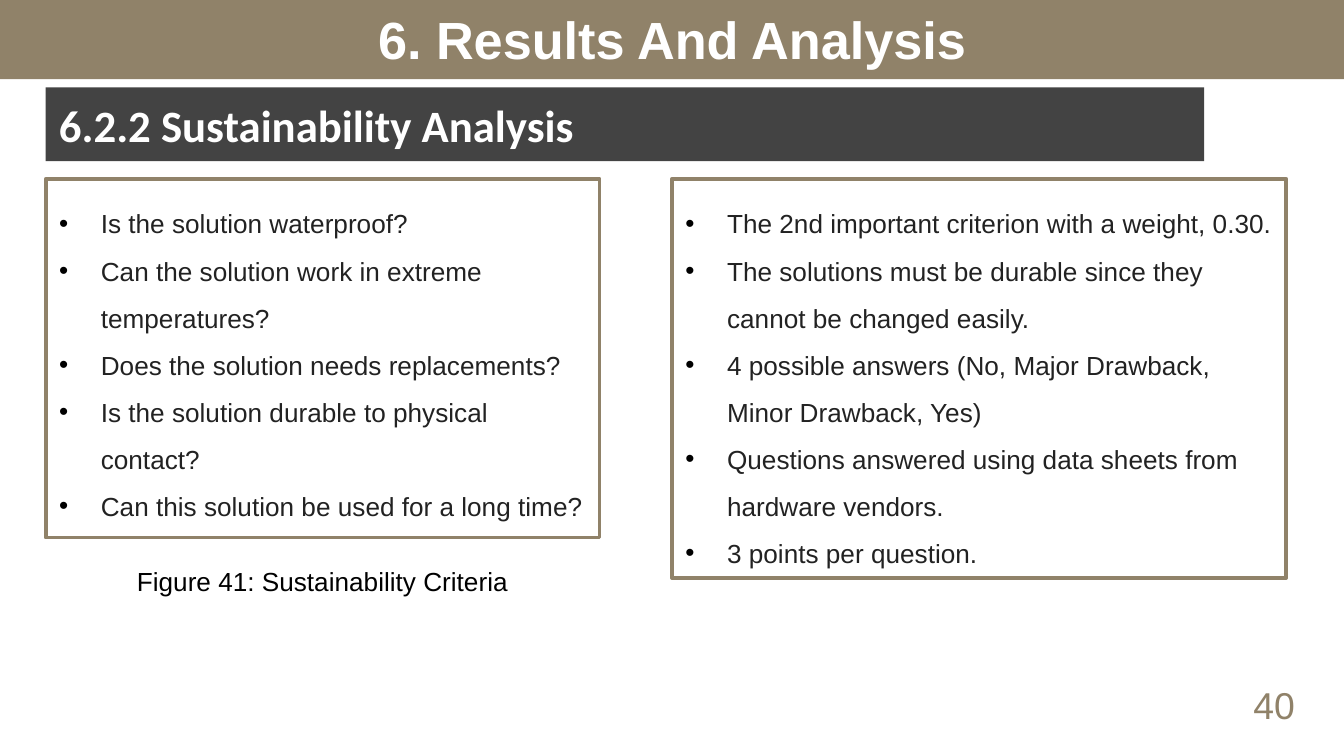
"""Build the sustainability analysis slide."""
import pptx
import pptx.util
import pptx.dml.color
import pptx.enum.text
import pptx.enum.shapes
import pptx.oxml
import pptx.oxml.ns

RGB = pptx.dml.color.RGBColor
Inches = pptx.util.Inches
Pt = pptx.util.Pt
ALIGN = pptx.enum.text.PP_ALIGN
ANCHOR = pptx.enum.text.MSO_ANCHOR

TAN = RGB(0x90, 0x82, 0x69)
GREY = RGB(0x43, 0x43, 0x43)
INK = RGB(0x22, 0x22, 0x22)
BLACK = RGB(0, 0, 0)
WHITE = RGB(255, 255, 255)

WIDE = 10
HIGH = WIDE * 9 / 16
LEFT, RIGHT = 0.34, 5
LIST_TOP = 1.33
LEFT_WIDE = 4.12
BAR_TOP, BAR_HIGH = 0.65, 0.55
PAD = 0.1

ASKS = [
    "Is the solution waterproof?",
    "Can the solution work in extreme temperatures?",
    "Does the solution needs replacements?",
    "Is the solution durable to physical contact?",
    "Can this solution be used for a long time?",
]
NOTES = [
    "The 2nd important criterion with a weight, 0.30.",
    "The solutions must be durable since they cannot be changed easily.",
    "4 possible answers (No, Major Drawback, Minor Drawback, Yes)",
    "Questions answered using data sheets from hardware vendors.",
    "3 points per question.",
]


def place(shape, box):
    """Move a shape to a box of left, top, width and height."""
    shape.left, shape.top, shape.width, shape.height = map(Inches, box)


def pad(frame, anchor):
    """Give a text frame even margins, wrapping and an anchor."""
    frame.margin_left = frame.margin_right = Inches(PAD)
    frame.margin_top = frame.margin_bottom = Inches(PAD)
    frame.word_wrap = True
    frame.auto_size = pptx.enum.text.MSO_AUTO_SIZE.NONE
    frame.vertical_anchor = anchor


def style(para, size, color, face="Arial", bold=False):
    """Set the font of a paragraph."""
    font = para.font
    font.name, font.size, font.bold = face, Pt(size), bold
    font.color.rgb = color


def fill(shape, color):
    """Fill a shape with one colour."""
    shape.fill.solid()
    shape.fill.fore_color.rgb = color


def add_band(slide, box, color):
    """Draw a plain band behind everything else."""
    kind = pptx.enum.shapes.MSO_SHAPE.RECTANGLE
    band = slide.shapes.add_shape(kind, *map(Inches, box))
    band.shadow.inherit = False
    band.line.fill.background()
    fill(band, color)
    slide.shapes._spTree.insert(2, band._element)


def add_title(slide, text):
    """Set the slide title on a full-width band."""
    box = (0, -0.01, WIDE, 0.6)
    add_band(slide, box, TAN)
    title = slide.shapes.title
    place(title, box)
    title.text_frame.text = text
    pad(title.text_frame, ANCHOR.MIDDLE)
    para = title.text_frame.paragraphs[0]
    para.alignment = ALIGN.CENTER
    style(para, 28, WHITE, bold=True)


def add_head(slide, text):
    """Set the section heading on a dark band."""
    add_band(slide, (LEFT, BAR_TOP, 8.62, BAR_HIGH), GREY)
    box = (LEFT, BAR_TOP, 7.88, BAR_HIGH)
    frame = slide.shapes.add_textbox(*map(Inches, box)).text_frame
    frame.text = text
    pad(frame, ANCHOR.MIDDLE)
    style(frame.paragraphs[0], 24, WHITE, "Calibri", True)


def add_label(slide, text, box, size, color):
    """Add a centred line of text."""
    frame = slide.shapes.add_textbox(*map(Inches, box)).text_frame
    frame.word_wrap = True
    frame.text = text
    para = frame.paragraphs[0]
    para.alignment = ALIGN.CENTER
    style(para, size, color)


def add_mark(para):
    """Give a paragraph a black bullet and a hanging indent."""
    props = para._p.get_or_add_pPr()
    props.set("marL", str(Inches(0.31)))
    props.set("indent", str(-Inches(0.31)))
    space = pptx.oxml.ns.nsdecls("a")
    for part in (
        f'<a:buClr {space}><a:srgbClr val="{BLACK}"/></a:buClr>',
        f'<a:buFont {space} typeface="Arial"/>',
        f'<a:buChar {space} char="•"/>',
    ):
        props.append(pptx.oxml.parse_xml(part))


def fill_list(holder, items, box):
    """Fill a body placeholder with a framed bullet list."""
    place(holder, box)
    fill(holder, WHITE)
    holder.line.color.rgb = TAN
    holder.line.width = Pt(2)
    frame = holder.text_frame
    frame.text = "\n".join(items)
    pad(frame, ANCHOR.TOP)
    for para in frame.paragraphs:
        add_mark(para)
        para.alignment = ALIGN.LEFT
        para.line_spacing = 1.5
        para.space_before = Pt(0)
        style(para, 14, INK)


def main():
    """Build and save the slide."""
    deck = pptx.Presentation()
    deck.slide_width, deck.slide_height = Inches(WIDE), Inches(HIGH)
    slide = deck.slides.add_slide(deck.slide_layouts[3])
    first, second = list(slide.placeholders)[1:]
    add_title(slide, "6. Results And Analysis")
    add_head(slide, "6.2.2 Sustainability Analysis")
    fill_list(first, ASKS, (LEFT, LIST_TOP, LEFT_WIDE, 2.67))
    fill_list(second, NOTES, (RIGHT, LIST_TOP, 4.57, 2.97))
    add_label(slide, "Figure 41: Sustainability Criteria",
              (LEFT, 4.16, LEFT_WIDE, 0.34), 14, BLACK)
    add_label(slide, "40", (8.96, 5.03, 1.04, 0.44), 20, TAN)
    deck.save("out.pptx")


if __name__ == "__main__":
    main()
